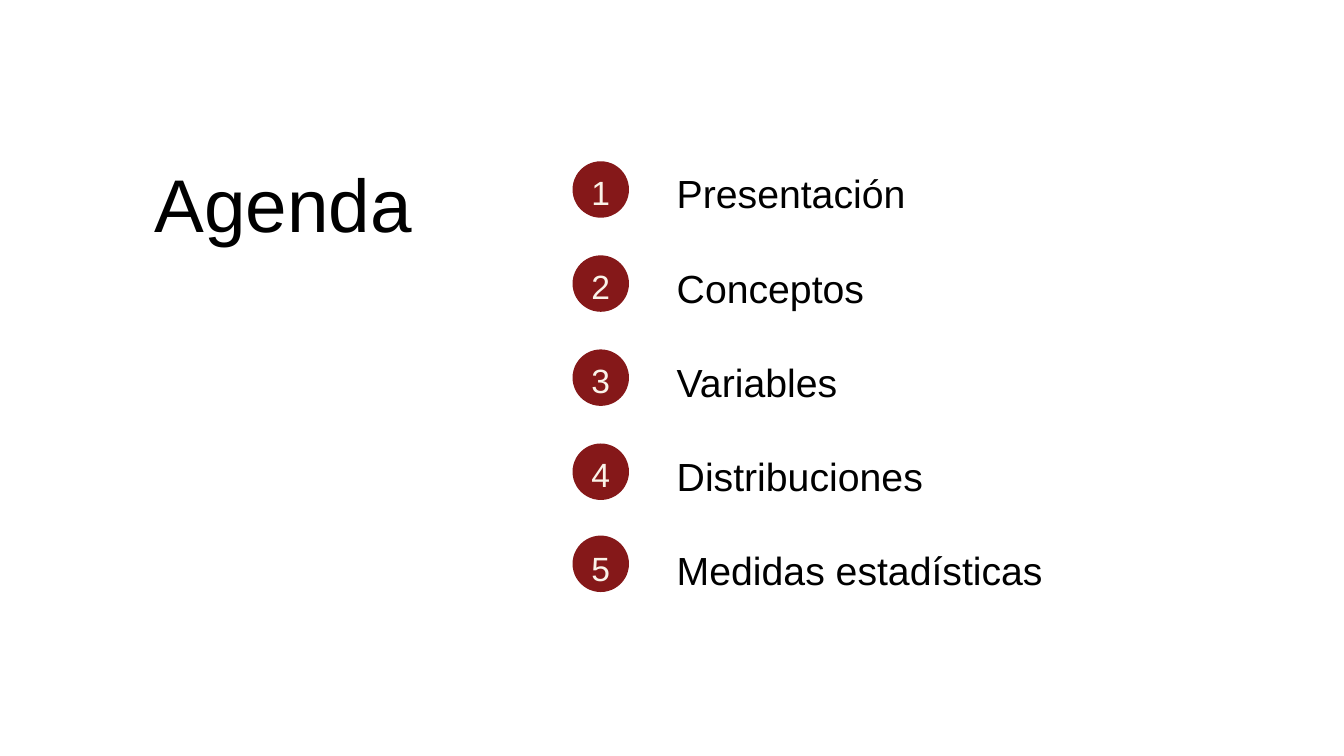
from dataclasses import dataclass

from pptx import Presentation
from pptx import util as u
from pptx.dml.color import RGBColor
from pptx.enum import shapes, text

PX = 9144  # EMU per px, 100 px to the inch


@dataclass(frozen=True)
class Theme:
    font: str = "Arial"
    ink: str = "000000"
    badge: str = "851819"
    cream: str = "FAF3E9"
    title_size: int = 80
    topic_size: int = 42
    number_size: int = 36


def write_text(shape, words, *, font, size, color, leading,
               align=text.PP_ALIGN.LEFT):
    frame = shape.text_frame
    frame.word_wrap = True
    frame.auto_size = text.MSO_AUTO_SIZE.NONE
    frame.vertical_anchor = text.MSO_ANCHOR.TOP
    frame.margin_left = frame.margin_right = 0
    frame.margin_top = frame.margin_bottom = 0
    para = frame.paragraphs[0]
    para.alignment = align
    para.line_spacing = u.Pt(leading)
    span = para.add_run()
    span.text = words
    span.font.name = font
    span.font.size = u.Pt(size)
    span.font.color.rgb = RGBColor.from_string(color)


class Painter:
    def __init__(self, page, theme):
        self.page = page
        self.theme = theme

    def title(self, words, left, top, width, height):
        box = self.page.shapes.title
        box.left, box.top = left * PX, top * PX
        box.width, box.height = width * PX, height * PX
        write_text(box, words, font=self.theme.font, leading=96,
                   size=self.theme.title_size, color=self.theme.ink)

    def label(self, words, left, top, width, height, **style):
        box = self.page.shapes.add_textbox(
            left * PX, top * PX, width * PX, height * PX)
        write_text(box, words, font=self.theme.font, **style)

    def badge(self, left, top, size):
        circle = self.page.shapes.add_shape(
            shapes.MSO_SHAPE.OVAL, left * PX, top * PX, size * PX, size * PX)
        circle.shadow.inherit = False
        circle.fill.solid()
        circle.fill.fore_color.rgb = RGBColor.from_string(self.theme.badge)
        circle.line.fill.background()


def main():
    deck = Presentation()
    deck.slide_width, deck.slide_height = 2000 * PX, 1125 * PX
    theme = Theme()
    page = deck.slides.add_slide(deck.slide_layouts.get_by_name("Title Only"))
    painter = Painter(page, theme)

    # Heading
    painter.title("Agenda", 230, 235, 466, 136)

    # Numbered topics; the last badge sits slightly above the even step
    step = 140
    topics = ("Presentación", "Conceptos", "Variables", "Distribuciones",
              "Medidas estadísticas")
    badge_tops = (240, 380, 520, 660, 797)
    for index, (topic, badge_top) in enumerate(zip(topics, badge_tops)):
        offset = index * step
        painter.badge(852, badge_top, 84)
        painter.label(str(index + 1), 864, 237 + offset, 60, 74,
                      size=theme.number_size, color=theme.cream,
                      leading=56.5, align=text.PP_ALIGN.CENTER)
        painter.label(topic, 1007, 206 + offset, 801, 101,
                      size=theme.topic_size, color=theme.ink, leading=84)

    deck.save("out.pptx")


if __name__ == "__main__":
    main()
